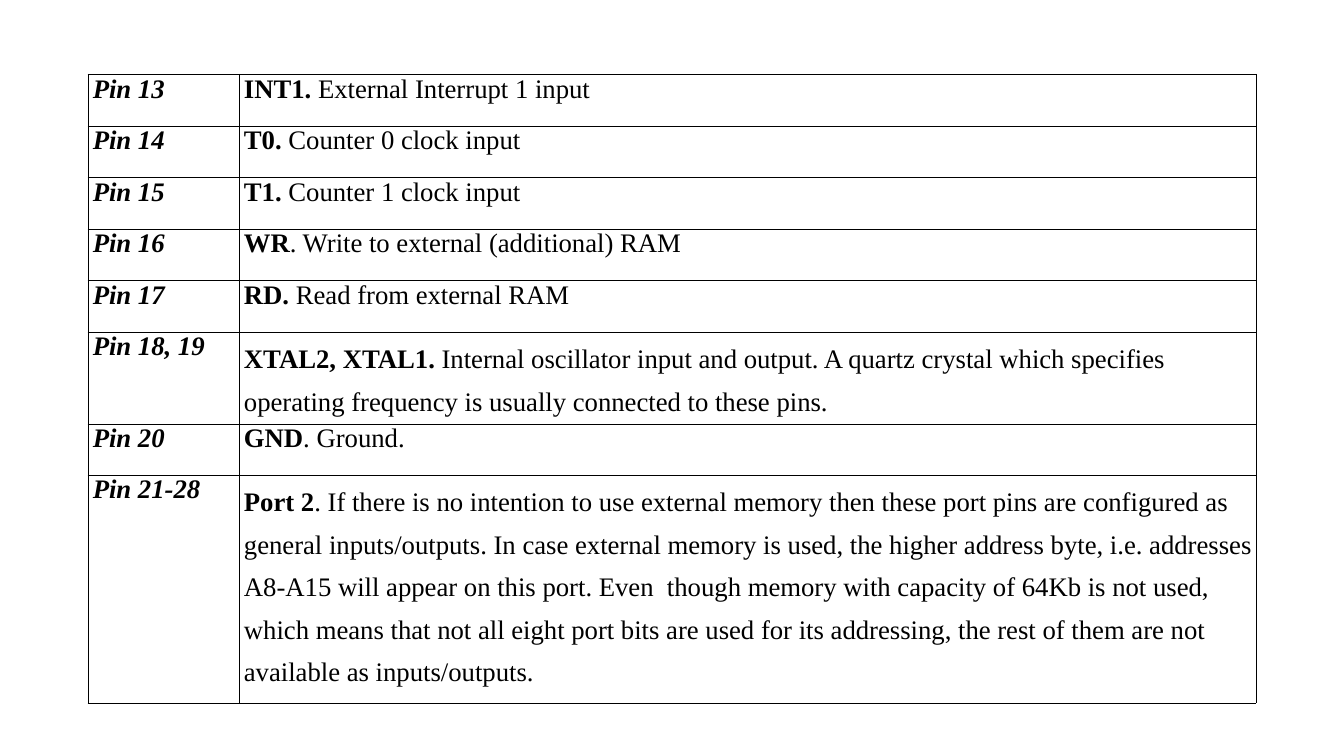
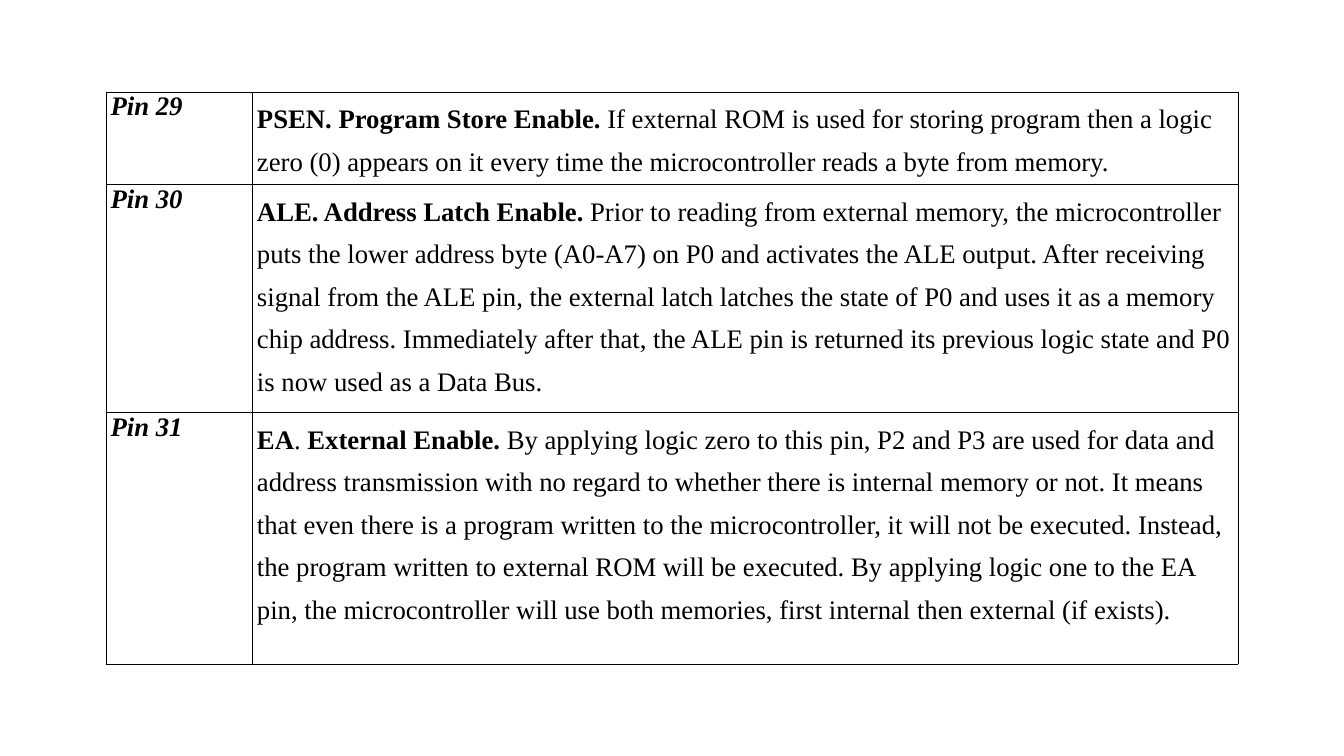
from lxml import etree
from pptx import Presentation
from pptx.dml.color import RGBColor
from pptx.oxml.ns import qn
from pptx.util import Inches, Pt

BLACK = RGBColor(0x00, 0x00, 0x00)
FONT = "Times New Roman"
SIZE = Pt(28)
RULE = Pt(0.58)
INDENT = Inches(0.07)
LOOSE = 1.44  # line spacing of the longer descriptions

# Row: height, pin, loose lines?, description parts (bold and plain in turn)
PORTS = [
    (0.75, "Pin 13", False, ["INT1. ", "External Interrupt 1 input"]),
    (0.75, "Pin 14", False, ["T0. ", "Counter 0 clock input"]),
    (0.75, "Pin 15", False, ["T1. ", "Counter 1 clock input"]),
    (0.75, "Pin 16", False, ["WR", ". Write to external (additional) RAM"]),
    (0.75, "Pin 17", False, ["RD. ", "Read from external RAM"]),
    (1.34, "Pin 18, 19", True, [
        "XTAL2, XTAL1. ",
        "Internal oscillator input and output. A quartz crystal which "
        "specifies operating frequency is usually connected to these pins."]),
    (0.74, "Pin 20", False, ["GND", ". Ground."]),
    (3.32, "Pin 21-28", True, [
        "Port 2",
        ". If there is no intention to use external memory then these port "
        "pins are configured as general inputs/outputs. In case external "
        "memory is used, the higher address byte, i.e. addresses A8-A15 will "
        "appear on this port. Even  though memory with capacity of 64Kb is "
        "not used, which means that not all eight port bits are used for its "
        "addressing, the rest of them are not available as inputs/outputs."]),
]
CONTROL = [
    (1.34, "Pin 29", True, [
        "PSEN. Program Store Enable. ",
        "If external ROM is used for storing program then a logic zero (0) "
        "appears on it every time the microcontroller reads a byte from "
        "memory."]),
    (3.32, "Pin 30", True, [
        "ALE. Address Latch Enable. ",
        "Prior to reading from external memory, the microcontroller puts the "
        "lower address byte (A0-A7) on P0 and activates the ALE output. After "
        "receiving signal from the ALE pin, the external latch latches the "
        "state of P0 and uses it as a memory chip address. Immediately after "
        "that, the ALE pin is returned its previous logic state and P0 is now "
        "used as a Data Bus."]),
    (3.66, "Pin 31", True, [
        "EA", ".", " External Enable. ",
        "By applying logic zero to this pin, P2 and P3 are used for data and "
        "address transmission with no regard to whether there is internal "
        "memory or not. It means that even there is a program written to the "
        "microcontroller, it will not be executed. Instead, the program "
        "written to external ROM will be executed. By applying logic one to "
        "the EA pin, the microcontroller will use both memories, first "
        "internal then external (if exists)."]),
]


def add_rules(cell):
    """Draw a thin black line on all four sides of a cell."""
    props = cell._tc.get_or_add_tcPr()
    for spot, side in enumerate(("lnL", "lnR", "lnT", "lnB")):
        line = etree.Element(qn(f"a:{side}"), w=str(RULE))
        fill = etree.SubElement(line, qn("a:solidFill"))
        etree.SubElement(fill, qn("a:srgbClr"), val=str(BLACK))
        props.insert(spot, line)


def fill_cell(cell, parts, italic=False, loose=False):
    """Write parts into a cell, bold and plain in turn."""
    cell.margin_left = cell.margin_right = 0
    cell.margin_top = cell.margin_bottom = 0
    cell.fill.background()
    add_rules(cell)
    para = cell.text_frame.paragraphs[0]
    para._p.get_or_add_pPr().set("marL", str(INDENT))
    if loose:
        para.line_spacing = LOOSE
    for index, part in enumerate(parts):
        run = para.add_run()
        run.text = part
        font = run.font
        font.name, font.size = FONT, SIZE
        font.color.rgb = BLACK
        font.bold = index % 2 == 0
        font.italic = italic


def add_pins(deck, left, top, widths, rows):
    """Add a slide with one table of pins and what they do."""
    slide = deck.slides.add_slide(deck.slide_layouts[6])
    height = sum(row[0] for row in rows)
    table = slide.shapes.add_table(
        len(rows), len(widths), Inches(left), Inches(top),
        Inches(sum(widths)), Inches(height)).table
    table.first_row = table.horz_banding = False
    for column, width in zip(table.columns, widths):
        column.width = Inches(width)
    for index, (high, pin, loose, parts) in enumerate(rows):
        table.rows[index].height = Inches(high)
        fill_cell(table.cell(index, 0), [pin], italic=True)
        fill_cell(table.cell(index, 1), parts, loose=loose)


def main():
    deck = Presentation()
    deck.slide_width, deck.slide_height = Inches(19.56), Inches(11)
    add_pins(deck, 1.28, 1.08, (2.2, 14.8), PORTS)
    add_pins(deck, 1.54, 1.34, (2.13, 14.35), CONTROL)
    deck.save("out.pptx")


if __name__ == "__main__":
    main()
